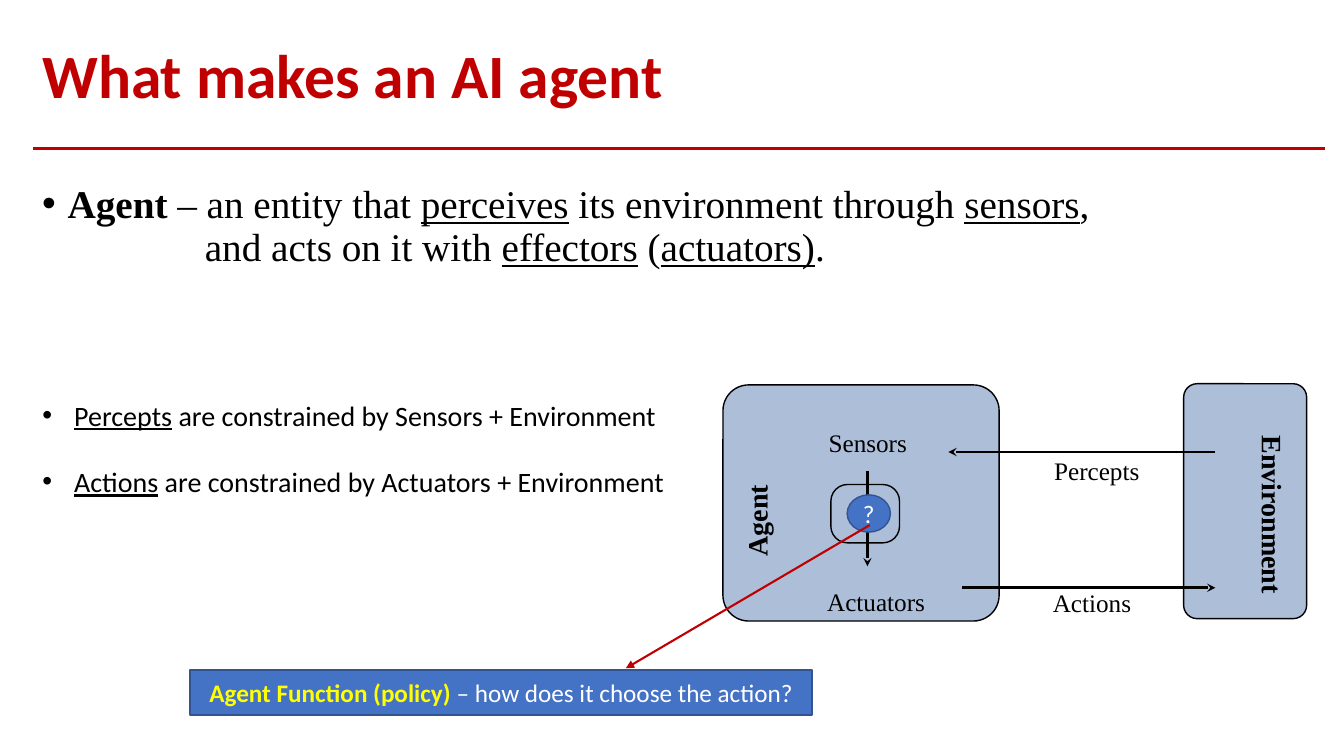
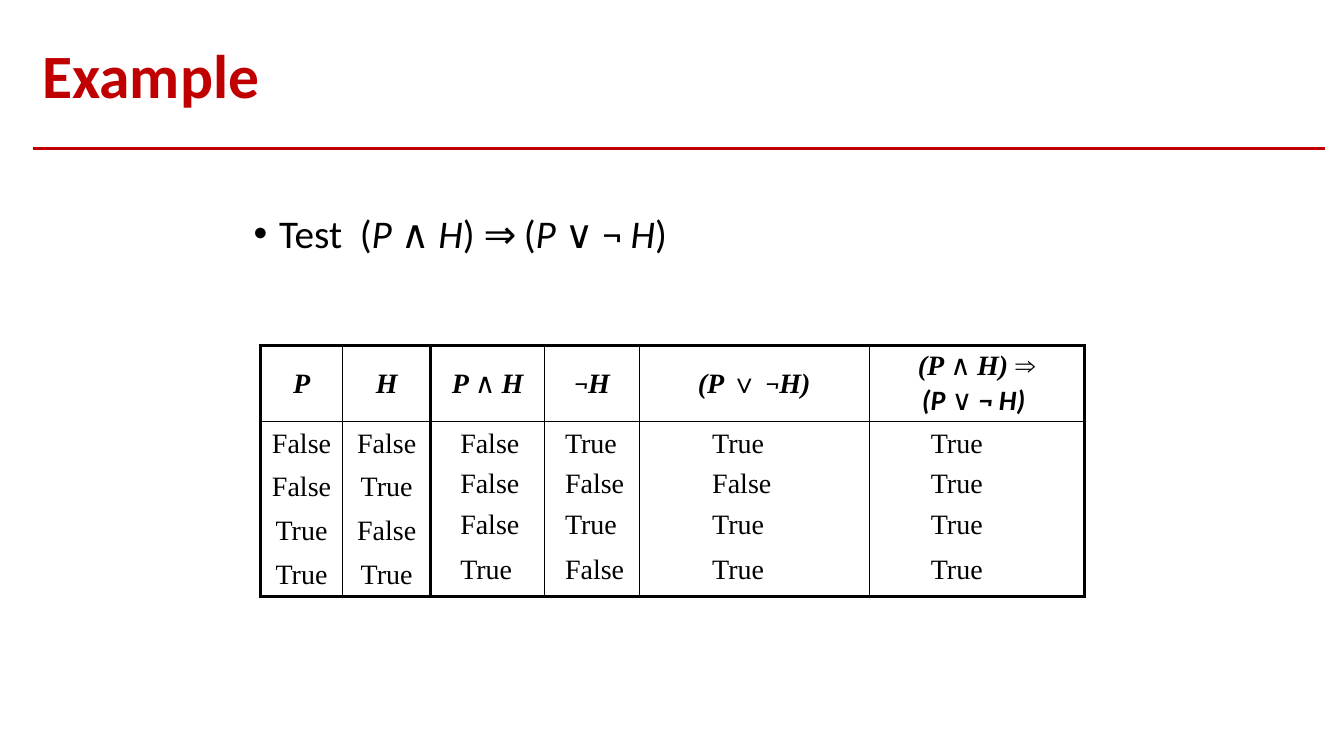
import lxml.etree
import pptx
import pptx.dml.color
import pptx.enum.shapes
import pptx.enum.text
import pptx.oxml
import pptx.oxml.ns
import pptx.util

Cm, Pt = pptx.util.Cm, pptx.util.Pt
SHAPE = pptx.enum.shapes.MSO_SHAPE
ALIGN = pptx.enum.text.PP_ALIGN
MIDDLE = pptx.enum.text.MSO_ANCHOR.MIDDLE
qn = pptx.oxml.ns.qn

# Shared look
CALIBRI, TIMES = "Calibri", "Times New Roman"
BLACK, WHITE, RED, YELLOW = "000000", "FFFFFF", "C00000", "FFFF00"
BLUE, DARK_BLUE, PALE_BLUE = "4472C4", "325491", "ADBED9"
TITLE_BOX = (0.81, 0.71, 32.56, 2.54)
RULE = (0.83, 3.75, 33.38, 3.75)

# Slide 1 content; each run is text, flags (b, i, u) and optional overrides
DEFINITION = [
    [("Agent ", "b"), ("– an entity that ", ""), ("perceives", "u"),
     (" its environment through ", ""), ("sensors", "u"), (",", "")],
    [("and acts on it with ", ""), ("effectors", "u"), (" (", ""),
     ("actuators)", "u"), (".", "")],
]
CONSTRAINTS = [
    [("Percepts", "u"), (" are constrained by Sensors + Environment", "")],
    [("Actions", "u"), (" are constrained by Actuators + Environment", "")],
]
AGENT_BOX = (18.22, 9.7, 6.96, 5.95)
ENVIRONMENT_BOX = (29.83, 9.67, 3.1, 5.92)
FUNCTION_BOX = (20.94, 12.21, 1.73, 1.47)
FUNCTION_DOT = (21.35, 12.47, 1.09, 0.94)
CALLOUT_BOX = (4.79, 16.88, 15.68, 1.14)
CALLOUT = [("Agent Function (policy) ", "b", {"color": YELLOW}),
           ("– how does it choose the action?", "")]
INNER_ARROW = (21.86, 11.86, 21.86, 14.27)
OUTER_ARROWS = [(30.63, 11.39, 23.9, 11.39), (24.25, 14.81, 30.63, 14.81)]
CALLOUT_ARROW = (21.92, 13.23, 15.77, 16.84)
LABELS = [  # text, flags, size, centre x, centre y, rotation
    ("Sensors", "", 18, 21.87, 11.15, 0),
    ("Actuators", "", 18, 22.08, 15.15, 0),
    ("Percepts", "", 18, 27.64, 11.86, 0),
    ("Actions", "", 18, 27.52, 15.18, 0),
    ("Agent", "b", 20, 19.06, 13.12, 270),
    ("Environment", "b", 20, 32.08, 12.97, 90),
]

# Slide 2 content
FORMULA = [("Test  (", ""), ("P", "i"), (" ∧ ", ""), ("H", "i"), (") ⇒", ""),
           (" ", "", {"size": 24}), ("(", ""), ("P ", "i"), ("∨ ¬ ", ""),
           ("H", "i"), (")", "")]
SANS = {"font": CALIBRI}
HEADERS = [  # one list of lines per column
    [[("P", "bi")]],
    [[("H", "bi")]],
    [[("P ", "bi"), ("∧ ", "i", SANS), ("H", "bi")]],
    [[("¬", "i", SANS), ("H", "bi")]],
    [[("(P ", "bi"), ("∨ ", "i"), ("¬", "i", SANS), ("H)", "bi")]],
    [[("(P ", "bi"), ("∧ ", "i", SANS), ("H) ", "bi"), ("⇒", "i")],
     [("(P ", "bi", SANS), ("∨ ", "i", SANS), ("¬ H) ", "bi", SANS)]],
]
INPUTS = [("False", "False"), ("False", "True"),
          ("True", "False"), ("True", "True")]
RESULTS = [  # left of the column's text boxes, values from top to bottom
    (11, ["False", "False", "False", "True"]),
    (13.64, ["True", "False", "True", "False"]),
    (17.35, ["True", "False", "True", "True"]),
    (22.86, ["True", "True", "True", "True"]),
]
RESULT_TOPS = [10.59, 11.61, 12.65, 13.77]
TABLE_AT = (6.56, 8.7)
COLUMN_WIDTHS = [2.08, 2.21, 2.88, 2.38, 5.79, 5.43]
ROW_HEIGHTS = [1.93] + [1.1] * len(INPUTS)
VERTICAL_BORDERS = [2.25, 0.75, 3, 0.75, 0.75, 0.75, 2.25]
HORIZONTAL_BORDERS = [2.25, 1, 0, 0, 0, 2.25]


def rgb(value):
    return pptx.dml.color.RGBColor.from_string(value)


def cms(values):
    return [Cm(v) for v in values]


def add_runs(p, runs, size, color=BLACK, font=CALIBRI):
    for text, flags, *overrides in runs:
        look = {"size": size, "color": color, "font": font}
        look.update(*overrides)
        r = p.add_run()
        r.text = text
        r.font.size, r.font.name = Pt(look["size"]), look["font"]
        r.font.color.rgb = rgb(look["color"])
        r.font.bold, r.font.italic = "b" in flags, "i" in flags
        r.font.underline = "u" in flags


def set_bullet(p, margin, hanging, char="•"):
    pPr = p._p.get_or_add_pPr()
    pPr.set("marL", str(Cm(margin)))
    pPr.set("indent", str(-Cm(hanging)))
    if char:
        lxml.etree.SubElement(pPr, qn("a:buFont")).set("typeface", "Arial")
        lxml.etree.SubElement(pPr, qn("a:buChar")).set("char", char)
    else:
        lxml.etree.SubElement(pPr, qn("a:buNone"))


def place(sp, box):
    sp.left, sp.top, sp.width, sp.height = cms(box)
    tf = sp.text_frame
    tf.word_wrap = True
    tf.auto_size = pptx.enum.text.MSO_AUTO_SIZE.NONE
    return tf


def add_line(s, ends, color, width, head=None):
    line = s.shapes.add_connector(
        pptx.enum.shapes.MSO_CONNECTOR.STRAIGHT, *cms(ends))
    line.line.color.rgb = rgb(color)
    line.line.width = Pt(width)
    if head:
        ln = line.line._get_or_add_ln()
        lxml.etree.SubElement(ln, qn("a:tailEnd")).set("type", head)
    lxml.etree.SubElement(line._element.spPr, qn("a:effectLst"))


def add_box(s, kind, box, fill=None, line=BLACK, radius=None, runs=()):
    sp = s.shapes.add_shape(kind, *cms(box))
    sp.shadow.inherit = False
    if fill:
        sp.fill.solid()
        sp.fill.fore_color.rgb = rgb(fill)
    else:
        sp.fill.background()
    sp.line.color.rgb = rgb(line)
    sp.line.width = Pt(1)
    if radius:
        sp.adjustments[0] = radius / min(box[2:])
    if runs:
        center_text(sp.text_frame, runs, 18, WHITE, CALIBRI)


def center_text(tf, runs, size, color, font):
    tf.word_wrap = False
    tf.vertical_anchor = MIDDLE
    tf.margin_left = tf.margin_right = tf.margin_top = tf.margin_bottom = 0
    p = tf.paragraphs[0]
    p.alignment = ALIGN.CENTER
    add_runs(p, runs, size, color, font)


def add_label(s, text, flags, size, x, y, rotation):
    width, height = 4, 0.8
    sp = s.shapes.add_textbox(
        *cms((x - width / 2, y - height / 2, width, height)))
    sp.rotation = rotation
    center_text(sp.text_frame, [(text, flags)], size, BLACK, TIMES)


def new_slide(prs, title):
    s = prs.slides.add_slide(prs.slide_layouts[1])
    add_line(s, RULE, RED, 2.25)
    tf = place(s.shapes.title, TITLE_BOX)
    tf.vertical_anchor = MIDDLE
    p = tf.paragraphs[0]
    p.alignment, p.line_spacing = ALIGN.LEFT, 0.9
    add_runs(p, [(title, "b")], 44, RED)
    return s


def set_borders(cell, row, col):
    cell.fill.background()
    tcPr = cell._tc.get_or_add_tcPr()
    sides = [("L", VERTICAL_BORDERS[col]), ("R", VERTICAL_BORDERS[col + 1]),
             ("T", HORIZONTAL_BORDERS[row]), ("B", HORIZONTAL_BORDERS[row + 1])]
    for place_no, (side, width) in enumerate(sides):
        ln = lxml.etree.Element(qn("a:ln" + side))
        tcPr.insert(place_no, ln)
        if width:
            ln.set("w", str(Pt(width)))
            fill = lxml.etree.SubElement(ln, qn("a:solidFill"))
            lxml.etree.SubElement(fill, qn("a:srgbClr")).set("val", BLACK)
        else:
            lxml.etree.SubElement(ln, qn("a:noFill"))


def fill_cell(cell, lines):
    cell.vertical_anchor = MIDDLE
    cell.margin_top = cell.margin_bottom = Cm(0.05)
    p = cell.text_frame.paragraphs[0]
    p.alignment = ALIGN.CENTER
    for n, runs in enumerate(lines):
        if n:
            p.add_line_break()
        add_runs(p, runs, 20, font=TIMES)


def build_agent_slide(prs):
    s = new_slide(prs, "What makes an AI agent")

    # Definition
    tf = place(s.placeholders[1], (0.81, 4.48, 32.56, 4.5))
    for n, runs in enumerate(DEFINITION):
        p = tf.add_paragraph() if n else tf.paragraphs[0]
        p.line_spacing = Pt(31)
        p.space_before = Pt(0 if n else 10)
        if n:
            set_bullet(p, 4.1, 0, None)
        else:
            set_bullet(p, 0.64, 0.64)
        add_runs(p, runs, 28, font=TIMES)

    # Agent and environment diagram
    add_box(s, SHAPE.ROUNDED_RECTANGLE, AGENT_BOX, PALE_BLUE, radius=0.65)
    add_line(s, INNER_ARROW, BLACK, 2, "stealth")
    add_box(s, SHAPE.ROUNDED_RECTANGLE, FUNCTION_BOX, radius=0.42)
    add_box(s, SHAPE.ROUNDED_RECTANGLE, ENVIRONMENT_BOX, PALE_BLUE, radius=0.34)
    for ends in OUTER_ARROWS:
        add_line(s, ends, BLACK, 2, "stealth")
    for label in LABELS:
        add_label(s, *label)

    # Constraints
    tf = place(s.shapes.add_textbox(0, 0, 0, 0), (0.82, 9.8, 16.94, 2.84))
    for n, runs in enumerate(CONSTRAINTS):
        p = tf.add_paragraph() if n else tf.paragraphs[0]
        p.line_spacing = Pt(27)
        p.space_before = Pt(20.5 if n else 0)
        set_bullet(p, 0.8, 0.8)
        add_runs(p, runs, 20)

    # Agent function callout
    add_box(s, SHAPE.RECTANGLE, CALLOUT_BOX, BLUE, DARK_BLUE, runs=CALLOUT)
    add_box(s, SHAPE.OVAL, FUNCTION_DOT, BLUE, DARK_BLUE, runs=[("?", "")])
    add_line(s, CALLOUT_ARROW, RED, 1.5, "triangle")


def build_example_slide(prs):
    s = new_slide(prs, "Example")

    # Formula
    p = place(s.placeholders[1], (6.14, 5.28, 21.59, 2.34)).paragraphs[0]
    p.line_spacing, p.space_before = 0.9, Pt(10)
    set_bullet(p, 0.64, 0.64)
    add_runs(p, FORMULA, 28)

    # Truth table: headings and inputs
    size = (sum(COLUMN_WIDTHS), sum(ROW_HEIGHTS))
    table = s.shapes.add_table(
        len(ROW_HEIGHTS), len(COLUMN_WIDTHS), *cms(TABLE_AT + size)).table
    table.first_row = table.horz_banding = False
    for column, width in zip(table.columns, COLUMN_WIDTHS):
        column.width = Cm(width)
    for row, height in zip(table.rows, ROW_HEIGHTS):
        row.height = Cm(height)
    for col, header in enumerate(HEADERS):
        fill_cell(table.cell(0, col), header)
        for row in range(len(ROW_HEIGHTS)):
            set_borders(table.cell(row, col), row, col)
    for row, values in enumerate(INPUTS, 1):
        for col, value in enumerate(values):
            fill_cell(table.cell(row, col), [[(value, "")]])

    # Results laid over the table
    for left, values in RESULTS:
        for top, value in zip(RESULT_TOPS, values):
            tf = place(s.shapes.add_textbox(0, 0, 0, 0), (left, top, 3.38, 1.1))
            set_bullet(tf.paragraphs[0], 0.35, 0, None)
            add_runs(tf.paragraphs[0], [(value, "")], 20, font=TIMES)


def main():
    prs = pptx.Presentation()
    prs.slide_width, prs.slide_height = Cm(33.87), Cm(19.05)
    build_agent_slide(prs)
    build_example_slide(prs)
    prs.save("out.pptx")


if __name__ == "__main__":
    main()
